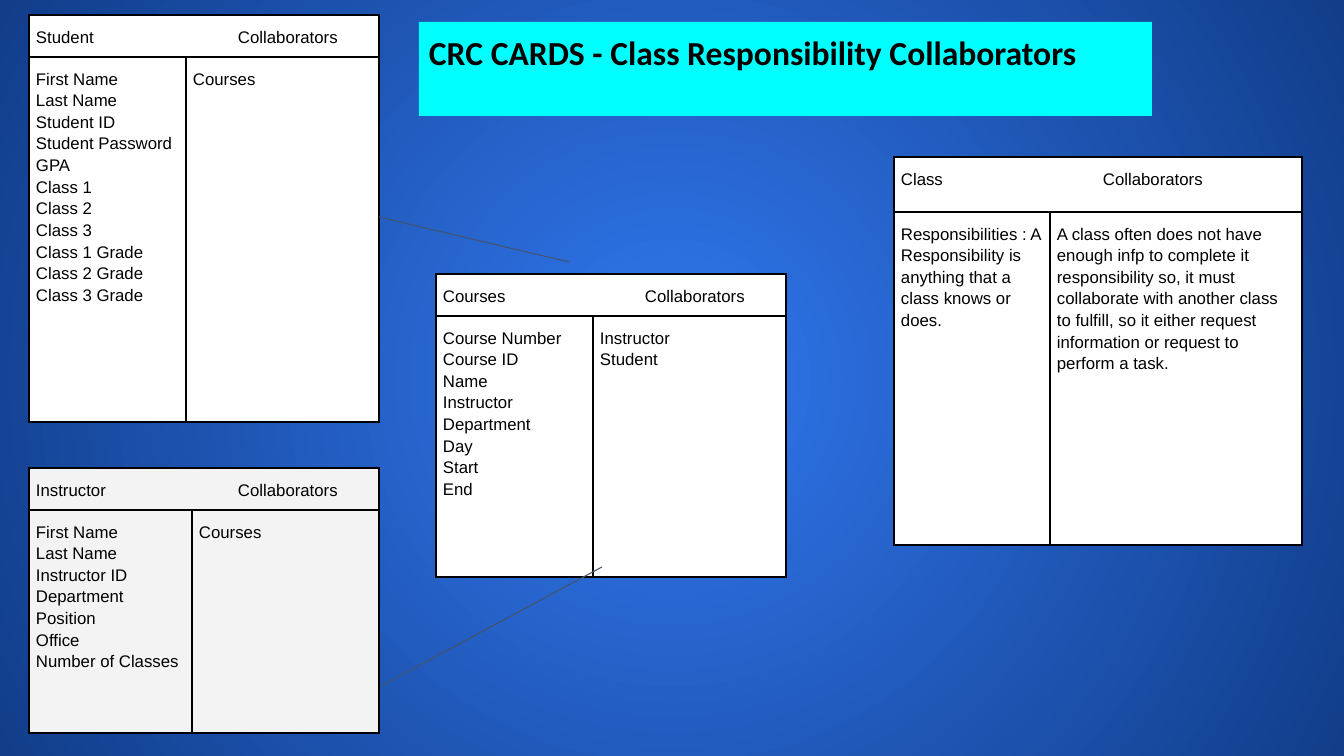
from lxml.etree import SubElement
from pptx import Presentation
from pptx.dml.color import RGBColor
from pptx.enum.shapes import MSO_CONNECTOR, MSO_SHAPE
from pptx.enum.text import MSO_ANCHOR, PP_ALIGN
from pptx.oxml import parse_xml
from pptx.oxml.ns import nsdecls, qn
from pptx.util import Pt

TITLE = "CRC CARDS - Class Responsibility Collaborators"
TITLE_BOX = (419, 22, 733, 94)
CARDS = [
    {"name": "Instructor", "at": (29, 468), "columns": (163, 187), "rows": (42, 223), "fill": "F3F3F3",
     "responsibilities": ["First Name", "Last Name", "Instructor ID", "Department", "Position",
                          "Office", "Number of Classes"],
     "collaborators": ["Courses"]},
    {"name": "Student", "at": (29, 15), "columns": (157, 193), "rows": (42, 365), "fill": "FFFFFF",
     "responsibilities": ["First Name", "Last Name", "Student ID", "Student Password", "GPA",
                          "Class 1", "Class 2", "Class 3",
                          "Class 1 Grade", "Class 2 Grade", "Class 3 Grade"],
     "collaborators": ["Courses"]},
    {"name": "Courses", "at": (436, 274), "columns": (157, 193), "rows": (42, 261), "fill": "FFFFFF",
     "responsibilities": ["Course Number", "Course ID", "Name", "Instructor", "Department",
                          "Day", "Start", "End"],
     "collaborators": ["Instructor", "Student"]},
    {"name": "Class", "at": (894, 157), "columns": (156, 252), "rows": (55, 333), "fill": "FFFFFF",
     "responsibilities": ["Responsibilities : A Responsibility is anything that a class knows or does."],
     "collaborators": ["A class often does not have enough infp to complete it responsibility so, "
                       "it must collaborate with another class to fulfill, so it either request "
                       "information or request to perform a task."]},
]
LINKS = [((379, 217), (569, 262)), ((381, 686), (602, 567))]
THEME = {
    "center": "3177EE", "edge": "113D8A", "banner": "00FFFF", "ink": "000000", "link": "44546A",
    "title_font": "Calibri", "title_size": 24, "card_font": "Arial", "card_size": 12,
    "border_width": 1, "link_width": 0.75,
}
SLIDE_SIZE = (1344, 756)
HEADER_TAB = 202
CELL_INSET = (7, 10)


def px(value):
    return round(value * 914400 / 100.8)


def color(name):
    return RGBColor.from_string(THEME.get(name, name))


def write(text_frame, lines, font, size, bold=False, spacing=1.0, tab=None):
    for index, line in enumerate(lines):
        paragraph = text_frame.paragraphs[0] if index == 0 else text_frame.add_paragraph()
        paragraph.alignment = PP_ALIGN.LEFT
        paragraph.line_spacing = spacing
        if tab:
            stops = SubElement(paragraph._p.get_or_add_pPr(), qn("a:tabLst"))
            SubElement(stops, qn("a:tab"), pos=str(px(tab)), algn="l")
        run = paragraph.add_run()
        run.text = line
        run.font.name = font
        run.font.size = Pt(size)
        run.font.bold = bold
        run.font.color.rgb = color("ink")


def paint_background(slide):
    fill = slide.background.fill
    fill.gradient()
    for stop, position, name in zip(fill.gradient_stops, (0, 1), ("center", "edge")):
        stop.position = position
        stop.color.rgb = color(name)
    gradient = slide.element.find(".//" + qn("a:gradFill"))
    gradient.replace(gradient.find(qn("a:lin")), parse_xml(
        f'<a:path {nsdecls("a")} path="circle">'
        '<a:fillToRect l="50000" t="50000" r="50000" b="50000"/></a:path>'))


def style_cell(cell, fill):
    cell.margin_left = cell.margin_right = px(CELL_INSET[0])
    cell.margin_top = cell.margin_bottom = px(CELL_INSET[1])
    cell.vertical_anchor = MSO_ANCHOR.TOP
    properties = cell._tc.get_or_add_tcPr()
    for side in ("lnL", "lnR", "lnT", "lnB"):
        properties.append(parse_xml(
            f'<a:{side} {nsdecls("a")} w="{Pt(THEME["border_width"])}"><a:solidFill>'
            f'<a:srgbClr val="{THEME["ink"]}"/></a:solidFill></a:{side}>'))
    cell.fill.solid()
    cell.fill.fore_color.rgb = color(fill)


def add_card(slide, card):
    left, top = card["at"]
    frame = slide.shapes.add_table(2, 2, px(left), px(top), px(sum(card["columns"])), px(sum(card["rows"])))
    table = frame.table
    table.first_row = table.horz_banding = False
    for column, width in zip(table.columns, card["columns"]):
        column.width = px(width)
    for row, height in zip(table.rows, card["rows"]):
        row.height = px(height)
    for cell in table.iter_cells():
        style_cell(cell, card["fill"])
    table.cell(0, 0).merge(table.cell(0, 1))
    contents = [
        (table.cell(0, 0), [card["name"] + "\tCollaborators"], HEADER_TAB),
        (table.cell(1, 0), card["responsibilities"], None),
        (table.cell(1, 1), card["collaborators"], None),
    ]
    for cell, lines, tab in contents:
        write(cell.text_frame, lines, THEME["card_font"], THEME["card_size"], spacing=1.15, tab=tab)


def add_title(slide):
    banner = slide.shapes.add_shape(MSO_SHAPE.RECTANGLE, *map(px, TITLE_BOX))
    banner.shadow.inherit = False
    banner.fill.solid()
    banner.fill.fore_color.rgb = color("banner")
    banner.line.fill.background()
    text_frame = banner.text_frame
    text_frame.word_wrap = True
    text_frame.vertical_anchor = MSO_ANCHOR.TOP
    text_frame.margin_left = text_frame.margin_right = px(10)
    text_frame.margin_top = text_frame.margin_bottom = px(10)
    write(text_frame, [TITLE], THEME["title_font"], THEME["title_size"], bold=True)


def add_link(slide, start, end):
    connector = slide.shapes.add_connector(MSO_CONNECTOR.STRAIGHT, *map(px, start + end))
    connector.line.color.rgb = color("link")
    connector.line.width = Pt(THEME["link_width"])
    SubElement(connector._element.spPr, qn("a:effectLst"))


def main():
    presentation = Presentation()
    presentation.slide_width, presentation.slide_height = map(px, SLIDE_SIZE)
    slide = presentation.slides.add_slide(presentation.slide_layouts[6])
    paint_background(slide)
    for card in CARDS:
        add_card(slide, card)
    add_title(slide)
    for start, end in LINKS:
        add_link(slide, start, end)
    presentation.save("out.pptx")


if __name__ == "__main__":
    main()
